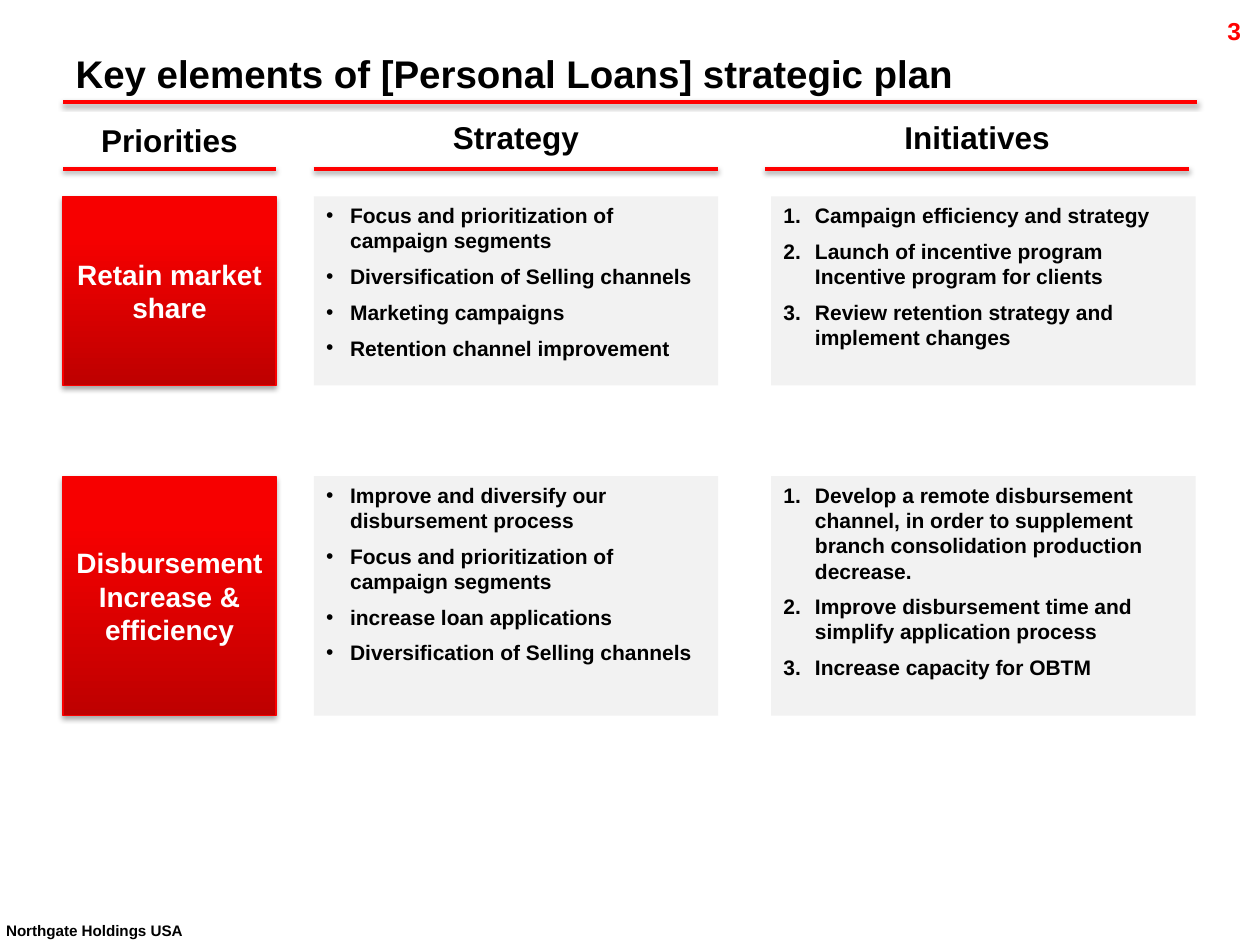
from dataclasses import dataclass

from pptx import Presentation
from pptx.dml.color import RGBColor
from pptx.enum.shapes import MSO_CONNECTOR as CONN, MSO_SHAPE as SHAPE
from pptx.enum.text import MSO_ANCHOR as ANCHOR, PP_ALIGN as ALIGN
from pptx.oxml import parse_xml
from pptx.oxml.ns import nsdecls
from pptx.util import Inches, Pt


@dataclass(frozen=True)
class Theme:
    """Colours, font and type sizes of the slide."""
    font: str = "Arial"
    black: str = "000000"
    white: str = "FFFFFF"
    red: str = "FF0000"
    edge: str = "F90000"
    panel: str = "F2F2F2"
    gradient: tuple = ((0, "BE0000"), (80, "F70000"), (100, "F80000"))
    title: int = 22
    heading: int = 18
    priority: int = 16
    footer: int = 15
    number: int = 14
    body: int = 12


T = Theme()
MARGIN, RIGHT = 0.5, 9.5
TITLE_RULE, HEADING_RULE = 0.81, 1.34
PRIORITY_COL, STRATEGY_COL, INITIATIVE_COL = (0.5, 1.69), (2.49, 3.21), (6.12, 3.37)
HEADINGS = (
    ("Priorities", PRIORITY_COL, 0.91),
    ("Strategy", STRATEGY_COL, 0.89),
    ("Initiatives", (6.07, 3.37), 0.89),
)
ROWS = (
    ((1.56, 1.5), "Retain market share",
     ("Focus and prioritization of campaign segments",
      "Diversification of Selling channels",
      "Marketing campaigns",
      "Retention channel improvement"),
     ("Campaign efficiency and strategy",
      "Launch of incentive program Incentive program for clients",
      "Review retention strategy and implement changes")),
    ((3.78, 1.9), "Disbursement Increase & efficiency",
     ("Improve and diversify our disbursement process",
      "Focus and prioritization of campaign segments",
      "increase loan applications",
      "Diversification of Selling channels"),
     ("Develop a remote disbursement channel, in order to supplement "
      "branch consolidation production decrease.",
      "Improve disbursement time and simplify application process",
      "Increase capacity for OBTM")),
)


def rgb(value):
    """Turn a hex string into a colour."""
    return RGBColor.from_string(value)


def style(p, size, color=T.black, align=ALIGN.LEFT):
    """Format a paragraph and its runs."""
    p.alignment = align
    for r in p.runs:
        r.font.name, r.font.size, r.font.bold = T.font, Pt(size), True
        r.font.color.rgb = rgb(color)


def add_shadow(s, alpha, dist):
    """Give a shape or connector a soft shadow below it."""
    s._element.spPr.append(parse_xml(
        f'<a:effectLst {nsdecls("a")}><a:outerShdw blurRad="{Pt(3.1)}" dist="{Pt(dist)}" '
        f'dir="5400000" rotWithShape="0"><a:srgbClr val="{T.black}">'
        f'<a:alpha val="{alpha * 1000}"/></a:srgbClr></a:outerShdw></a:effectLst>'))


def add_rule(slide, left, right, y):
    """Draw a red horizontal rule."""
    s = slide.shapes.add_connector(CONN.STRAIGHT, *map(Inches, (left, y, right, y)))
    s.line.color.rgb, s.line.width = rgb(T.red), Pt(2)
    add_shadow(s, 38, 1.6)


def add_label(slide, box, text, size, color=T.black, align=ALIGN.LEFT, wrap=True):
    """Add a one-paragraph text box and return its text frame."""
    tf = slide.shapes.add_textbox(*map(Inches, box)).text_frame
    tf.text, tf.word_wrap = text, wrap
    style(tf.paragraphs[0], size, color, align)
    return tf


def add_box(slide, col, row):
    """Add a rectangle in a grid cell."""
    (left, width), (top, height) = col, row
    s = slide.shapes.add_shape(SHAPE.RECTANGLE, *map(Inches, (left, top, width, height)))
    s.text_frame.word_wrap = True
    return s


def add_priority(slide, row, text):
    """Add a red gradient box with a centred priority."""
    s = add_box(slide, PRIORITY_COL, row)
    stops = "".join(f'<a:gs pos="{pos * 1000}"><a:srgbClr val="{color}"/></a:gs>'
                    for pos, color in T.gradient)
    s._element.spPr.insert(2, parse_xml(
        f'<a:gradFill {nsdecls("a")} rotWithShape="1"><a:gsLst>{stops}</a:gsLst>'
        '<a:lin ang="16200000" scaled="0"/></a:gradFill>'))
    s.line.color.rgb, s.line.width = rgb(T.edge), Pt(0.75)
    add_shadow(s, 35, 1.8)
    tf = s.text_frame
    tf.text, tf.vertical_anchor = text, ANCHOR.MIDDLE
    style(tf.paragraphs[0], T.priority, T.white, ALIGN.CENTER)


def add_panel(slide, col, row, items, bullet, indent):
    """Add a grey panel with a bulleted or numbered list."""
    s = add_box(slide, col, row)
    s.shadow.inherit = False
    s.fill.solid()
    s.fill.fore_color.rgb = rgb(T.panel)
    s.line.fill.background()
    tf = s.text_frame
    tf.text, tf.vertical_anchor = "\n".join(items), ANCHOR.TOP
    for p in tf.paragraphs:
        p.space_after = Pt(6)
        pPr = p._p.get_or_add_pPr()
        pPr.set("marL", str(Inches(indent)))
        pPr.set("indent", str(-Inches(indent)))
        pPr.append(parse_xml(f'<a:buFont {nsdecls("a")} typeface="{T.font}"/>'))
        pPr.append(parse_xml(f'<a:{bullet} {nsdecls("a")}/>'))
        style(p, T.body)


def add_title(slide, text):
    """Place and format the title with its rule."""
    s = slide.shapes.title
    s.left, s.top, s.width, s.height = map(Inches, (MARGIN, 0.34, RIGHT - MARGIN, 0.47))
    s.text_frame.text, s.text_frame.vertical_anchor = text, ANCHOR.BOTTOM
    style(s.text_frame.paragraphs[0], T.title)
    add_rule(slide, MARGIN, RIGHT, TITLE_RULE)


def add_page_marks(slide):
    """Add the page number and the raised footer."""
    tf = add_label(slide, (9.55, 0.08, 0.36, 0.34), "3", T.number, T.red, ALIGN.RIGHT, False)
    tf.margin_left = tf.margin_right = Inches(0.06)
    tf = add_label(slide, (-0.05, 7.24, 1.91, 0.35), "Northgate Holdings USA",
                   T.footer, wrap=False)
    tf.vertical_anchor = ANCHOR.MIDDLE
    tf.paragraphs[0].runs[0]._r.get_or_add_rPr().set("baseline", "30000")


def main():
    """Build and save the slide."""
    prs = Presentation()
    prs.slide_width, prs.slide_height = Inches(10), Inches(7.5)
    slide = prs.slides.add_slide(prs.slide_layouts[5])
    add_page_marks(slide)
    add_title(slide, "Key elements of [Personal Loans] strategic plan")
    for text, (left, width), top in HEADINGS:
        add_label(slide, (left, top, width, 0.4), text, T.heading, align=ALIGN.CENTER)
        add_rule(slide, left, left + width, HEADING_RULE)
    for row, priority, strategy, initiatives in ROWS:
        add_priority(slide, row, priority)
        add_panel(slide, STRATEGY_COL, row, strategy, 'buChar char="•"', 0.19)
        add_panel(slide, INITIATIVE_COL, row, initiatives,
                  'buAutoNum type="arabicPeriod"', 0.25)
    prs.save("out.pptx")


if __name__ == "__main__":
    main()
